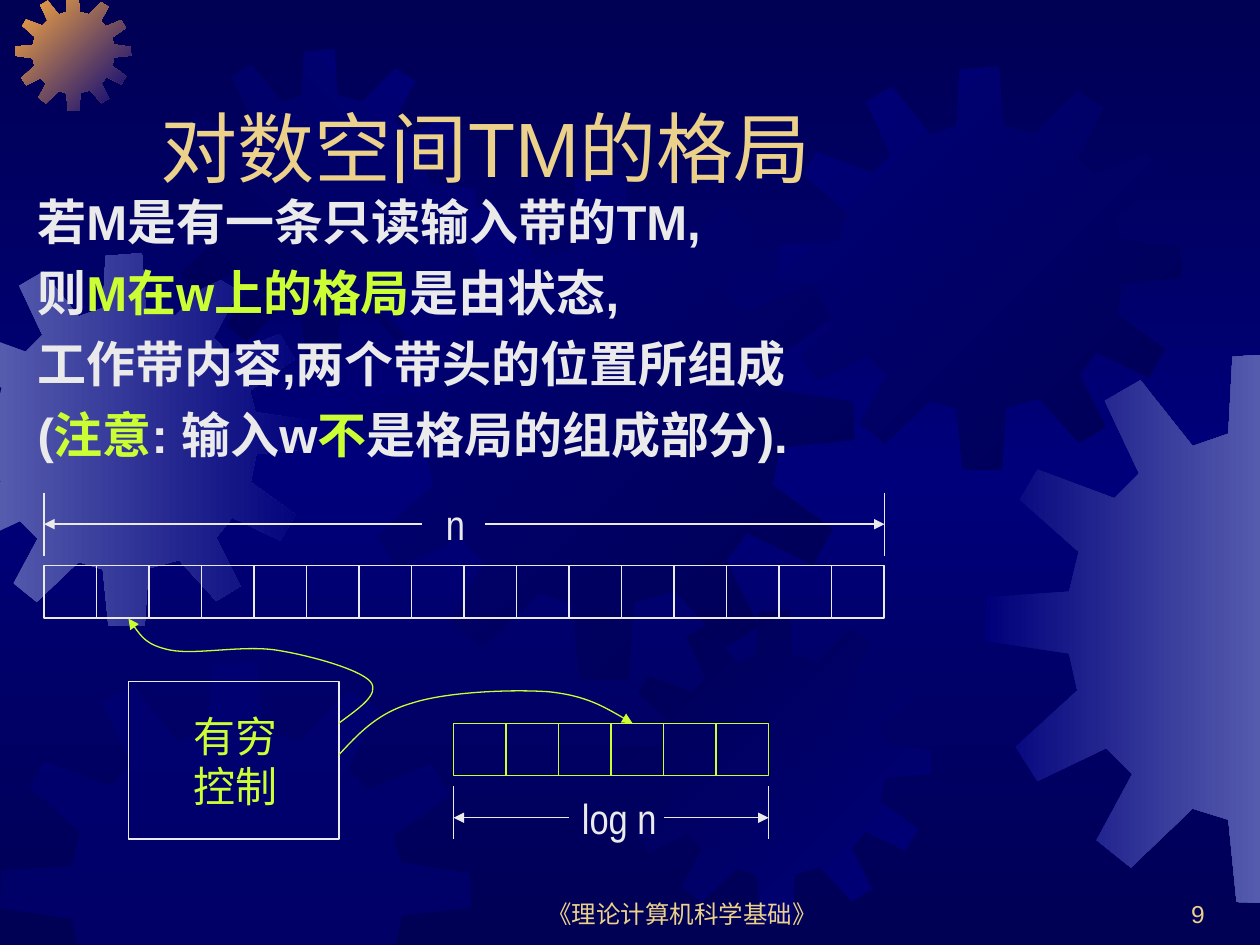
from dataclasses import dataclass
from lxml.etree import SubElement
from copy import deepcopy

from pptx import Presentation
from pptx.dml.color import RGBColor
from pptx.dml.fill import FillFormat
from pptx.enum.shapes import MSO_CONNECTOR as Connector, MSO_SHAPE as Shape
from pptx.enum.text import MSO_ANCHOR as Anchor, PP_ALIGN as Align
from pptx.oxml.ns import qn
from pptx.util import Inches, Pt

NAVY, BLUE, LILAC, ORANGE = "000054", "00007A", "555BAD", "FCAB40"
GOLD, WHITE, LIME = "EBD189", "EAEAEA", "CCFF33"
SLIDE_WIDTH, SLIDE_HEIGHT = 10, 7.5
CELL = 5 / 12

Point = tuple[float, float]
Run = tuple[str, str]

GEAR_LEFT, GEAR_TOP, GEAR_SIZE = 2.77, 1.39, 4.01
GEAR_OUTLINE = [
    (5.32, 2.06), (5, 1.98), (4.96, 1.39), (4.57, 1.42), (4.54, 1.98), (4.28, 2.07),
    (3.9, 1.59), (3.64, 1.74), (3.89, 2.27), (3.71, 2.45), (3.15, 2.24), (3.02, 2.46),
    (3.45, 2.84), (3.38, 3.13), (2.78, 3.17), (2.77, 3.49), (3.38, 3.58), (3.44, 3.85),
    (2.99, 4.26), (3.15, 4.51), (3.65, 4.27), (3.84, 4.46), (3.58, 4.94), (3.83, 5.14),
    (4.28, 4.71), (4.54, 4.79), (4.6, 5.39), (4.99, 5.4), (5.03, 4.78), (5.36, 4.69),
    (5.76, 5.13), (6.02, 4.97), (5.76, 4.45), (5.93, 4.23), (6.45, 4.48), (6.61, 4.2),
    (6.13, 3.85), (6.19, 3.55), (6.78, 3.49), (6.77, 3.19), (6.18, 3.1), (6.12, 2.87),
    (6.6, 2.53), (6.44, 2.26), (5.9, 2.48), (5.73, 2.3), (6, 1.8), (5.74, 1.64),
]


@dataclass
class Gear:
    left: float
    top: float
    size: float
    colors: tuple[str, ...]
    angle: int = 0


@dataclass
class Tape:
    left: float
    top: float
    cells: int
    color: str


@dataclass
class Dimension:
    left: float
    right: float
    top: float
    height: float
    gap_left: float
    gap_right: float


@dataclass
class Label:
    left: float
    top: float
    width: float
    height: float
    paragraphs: list[list[Run]]
    size: int
    font: str = "Arial"
    bold: bool = False
    align: Align = Align.LEFT
    anchor: Anchor = Anchor.TOP


GEARS = [
    Gear(-0.49, 2.01, 2.96, (LILAC, BLUE)),
    Gear(0.12, -0.04, 0.92, (ORANGE, BLUE), 45),
    Gear(1.3, 0.39, 2.48, (NAVY, BLUE), 315),
    Gear(2.77, 1.39, 4.01, (BLUE, NAVY), 45),
    Gear(0, 5.25, 3.74, (BLUE,)),
    Gear(4.91, 4.84, 2.48, (NAVY, BLUE), 45),
    Gear(6.18, 0.53, 3.2, (BLUE, NAVY), 45),
    Gear(7.82, 2.8, 4.37, (BLUE, LILAC)),
]
TAPES = [Tape(0.35, 4.49, 16, WHITE), Tape(3.6, 5.74, 6, LIME)]
DIMENSIONS = [
    Dimension(0.35, 7.02, 3.91, 0.5, 3.35, 3.85),
    Dimension(3.6, 6.1, 6.24, 0.42, 4.52, 5.27),
]
HEAD_CURVES = [
    [(2.69, 5.99), (2.84, 5.83), (2.99, 5.66), (3.27, 5.58), (3.55, 5.49),
     (4.06, 5.47), (4.35, 5.49), (4.65, 5.52), (4.83, 5.63), (5.02, 5.74)],
    [(2.69, 5.74), (2.85, 5.62), (3.02, 5.51), (2.94, 5.41), (2.85, 5.31),
     (2.45, 5.2), (2.19, 5.16), (1.92, 5.12), (1.55, 5.2), (1.35, 5.16),
     (1.16, 5.12), (1.09, 5.01), (1.02, 4.91)],
]
TITLE = Label(1.17, 0.33, 8.5, 1.25, [[("对数空间TM的格局", GOLD)]], 44, anchor=Anchor.BOTTOM)
LABELS = [
    Label(0.2, 1.47, 8.5, 2.4, [
        [("若M是有一条只读输入带的TM,", WHITE)],
        [("则", WHITE), ("M在w上的格局", LIME), ("是由状态,", WHITE)],
        [("工作带内容,两个带头的位置所组成", WHITE)],
        [("(", WHITE), ("注意", LIME), (": 输入w", WHITE), ("不", LIME),
         ("是格局的组成部分).", WHITE)],
    ], 28, bold=True),
    Label(1.44, 5.59, 1, 0.9, [[("有穷控制", LIME)]], 24, "Arial Narrow"),
    Label(4.52, 6.24, 1, 0.5, [[("log n", WHITE)]], 24, "Arial Narrow"),
    Label(3.44, 3.91, 0.58, 0.5, [[("n", WHITE)]], 24, "Arial Narrow"),
    Label(3.83, 6.92, 3.17, 0.5, [[("《理论计算机科学基础》", GOLD)]], 14,
          align=Align.CENTER, anchor=Anchor.BOTTOM),
    Label(7.58, 6.92, 2.08, 0.5, [[("9", GOLD)]], 14,
          align=Align.RIGHT, anchor=Anchor.BOTTOM),
]


def color(value: str) -> RGBColor:
    return RGBColor.from_string(value)


def paint_gradient(fill: FillFormat, colors: tuple[str, ...], angle: int) -> None:
    fill.gradient()
    fill.gradient_angle = -angle % 360
    for stop, value in zip(fill.gradient_stops, colors):
        stop.color.rgb = color(value)


def paint_background(slide) -> None:
    paint_gradient(slide.background.fill, (NAVY, BLUE), 90)
    stops = slide.element.find(".//" + qn("a:gsLst"))
    last = deepcopy(stops[0])
    last.set("pos", "100000")
    stops[1].set("pos", "50000")
    stops.append(last)


def clip(points: list[Point], axis: int, limit: float, sign: int) -> list[Point]:
    kept = []
    for start, end in zip(points, points[1:] + points[:1]):
        before, after = (sign * (point[axis] - limit) for point in (start, end))
        if before >= 0:
            kept.append(start)
        if before * after < 0:
            share = before / (before - after)
            kept.append(tuple(a + share * (b - a) for a, b in zip(start, end)))
    return kept


def add_outline(slide, points: list[Point], close: bool):
    start, *rest = [(Inches(x), Inches(y)) for x, y in points]
    builder = slide.shapes.build_freeform(*start, scale=1.0)
    builder.add_line_segments(rest, close=close)
    shape = builder.convert_to_shape()
    shape.shadow.inherit = False
    return shape


def add_gear(slide, gear: Gear) -> None:
    scale = gear.size / GEAR_SIZE
    points = [(gear.left + (x - GEAR_LEFT) * scale, gear.top + (y - GEAR_TOP) * scale)
              for x, y in GEAR_OUTLINE]
    for axis, limit, sign in ((0, 0, 1), (0, SLIDE_WIDTH, -1), (1, 0, 1), (1, SLIDE_HEIGHT, -1)):
        points = clip(points, axis, limit, sign)
    shape = add_outline(slide, points, True)
    shape.line.fill.background()
    if len(gear.colors) > 1:
        paint_gradient(shape.fill, gear.colors, gear.angle)
    else:
        shape.fill.solid()
        shape.fill.fore_color.rgb = color(gear.colors[0])
        SubElement(shape.element.find(".//" + qn("a:srgbClr")), qn("a:alpha"), val="50000")


def style_line(shape, value: str, arrow: bool = False) -> None:
    shape.line.color.rgb = color(value)
    shape.line.width = Pt(0.75)
    if arrow:
        SubElement(shape.element.spPr.find(qn("a:ln")), qn("a:tailEnd"), type="triangle")


def add_box(slide, left: float, top: float, width: float, height: float, value: str) -> None:
    shape = slide.shapes.add_shape(
        Shape.RECTANGLE, Inches(left), Inches(top), Inches(width), Inches(height))
    shape.shadow.inherit = False
    shape.fill.background()
    style_line(shape, value)


def add_line(slide, start: Point, end: Point, arrow: bool = False) -> None:
    line = slide.shapes.add_connector(Connector.STRAIGHT, *map(Inches, start + end))
    style_line(line, WHITE, arrow)
    SubElement(line.element.spPr, qn("a:effectLst"))


def add_dimension(slide, mark: Dimension) -> None:
    middle = mark.top + 0.25
    for edge, gap in ((mark.left, mark.gap_left), (mark.right, mark.gap_right)):
        add_line(slide, (edge, mark.top), (edge, mark.top + mark.height))
        add_line(slide, (gap, middle), (edge, middle), arrow=True)


def add_head_curve(slide, points: list[Point]) -> None:
    shape = add_outline(slide, points, False)
    shape.fill.background()
    style_line(shape, LIME, arrow=True)
    outline = shape.element.find(".//" + qn("a:path"))
    segments = outline.findall(qn("a:lnTo"))
    for index in range(0, len(segments), 3):
        curve = SubElement(outline, qn("a:cubicBezTo"))
        for segment in segments[index:index + 3]:
            curve.append(segment[0])
            outline.remove(segment)


def write_label(shape, label: Label) -> None:
    shape.left, shape.top = Inches(label.left), Inches(label.top)
    shape.width, shape.height = Inches(label.width), Inches(label.height)
    frame = shape.text_frame
    frame.word_wrap = True
    frame.vertical_anchor = label.anchor
    for index, runs in enumerate(label.paragraphs):
        paragraph = frame.add_paragraph() if index else frame.paragraphs[0]
        paragraph.alignment = label.align
        paragraph.space_before = Pt(7 if index else 0)
        for text, value in runs:
            run = paragraph.add_run()
            run.text = text
            run.font.name, run.font.size = label.font, Pt(label.size)
            run.font.bold = label.bold
            run.font.color.rgb = color(value)


def main() -> None:
    presentation = Presentation()
    presentation.slide_width = Inches(SLIDE_WIDTH)
    presentation.slide_height = Inches(SLIDE_HEIGHT)
    slide = presentation.slides.add_slide(presentation.slide_layouts[5])
    paint_background(slide)
    for gear in GEARS:
        add_gear(slide, gear)
    title = slide.shapes.title
    slide.shapes.element.append(title.element)
    write_label(title, TITLE)
    for tape in TAPES:
        for index in range(tape.cells):
            add_box(slide, tape.left + index * CELL, tape.top, CELL, CELL, tape.color)
    add_box(slide, 1.02, 5.41, 1.67, 1.25, WHITE)
    for points in HEAD_CURVES:
        add_head_curve(slide, points)
    for mark in DIMENSIONS:
        add_dimension(slide, mark)
    for label in LABELS:
        write_label(slide.shapes.add_textbox(0, 0, 0, 0), label)
    presentation.save("out.pptx")


if __name__ == "__main__":
    main()
